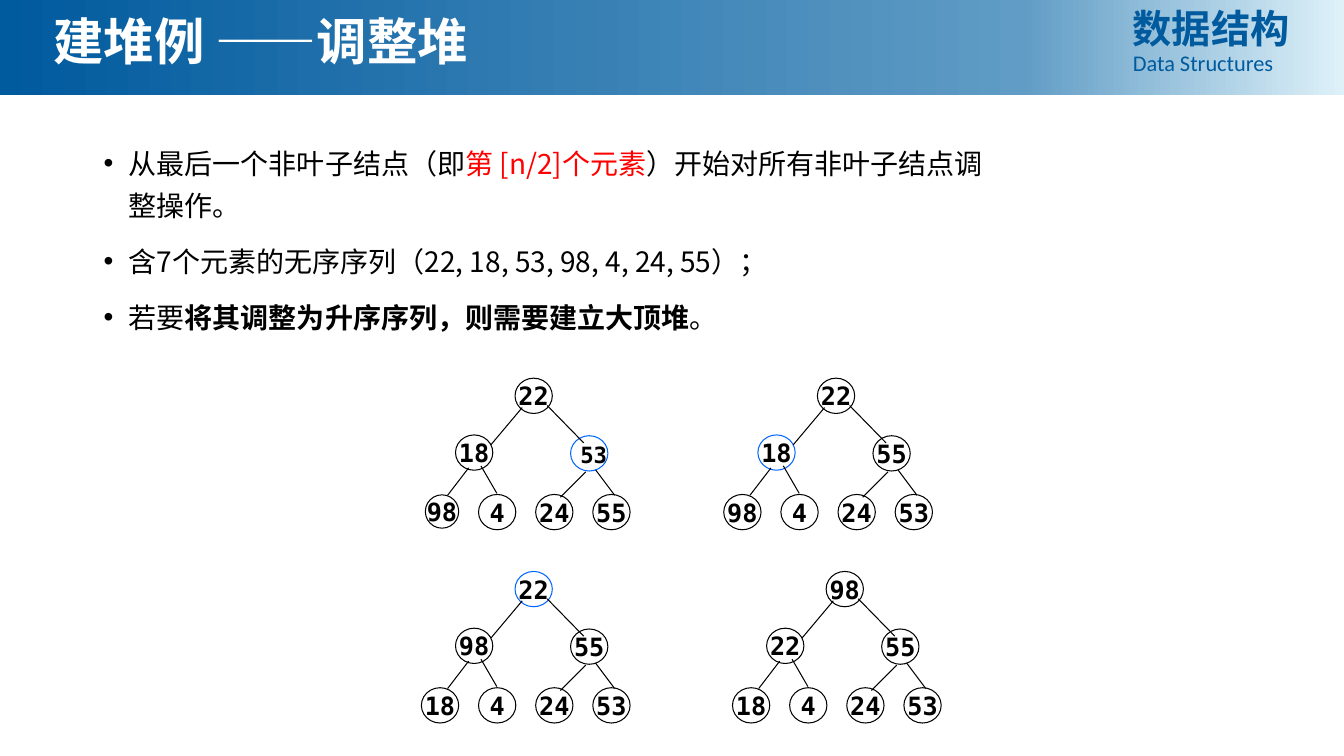
from copy import deepcopy

from lxml import etree
from pptx import Presentation
from pptx.dml.color import RGBColor
from pptx.enum.shapes import MSO_CONNECTOR, MSO_SHAPE
from pptx.enum.text import MSO_ANCHOR, MSO_AUTO_SIZE, PP_ALIGN
from pptx.oxml.ns import qn
from pptx.util import Cm, Pt

ELLIPSE, RECTANGLE = MSO_SHAPE.OVAL, MSO_SHAPE.RECTANGLE
STRAIGHT = MSO_CONNECTOR.STRAIGHT
TOP, MIDDLE = MSO_ANCHOR.TOP, MSO_ANCHOR.MIDDLE
LEFT, CENTER, JUSTIFY = PP_ALIGN.LEFT, PP_ALIGN.CENTER, PP_ALIGN.JUSTIFY

SANS, LATIN, MONO = "Noto Sans CJK SC", "Calibri", "DejaVu Sans Mono"
BLACK, WHITE, RED = "000000", "FFFFFF", "FF0000"
NAVY, HIGHLIGHT = "005A9E", "0066FF"
BAND_STOPS = [(0, NAVY), (0.76, "609CC5"), (1, "DEF1F9")]

TITLE = "建堆例 ——调整堆"
COURSE = [
    ("数据结构", {"size": 28, "bold": True, "font": SANS}),
    ("Data Structures", {"size": 16, "font": LATIN}),
]
BULLETS = [
    [("从最后一个非叶子结点（即", {}),
     ("第 [n/2]个元素", {"color": RED}),
     ("）开始对所有非叶子结点调整操作。", {})],
    [("含7个元素的无序序列（22, 18, 53, 98, 4, 24, 55）；", {})],
    [("若要", {}),
     ("将其调整为升序序列，则需要建立大顶堆", {"bold": True}),
     ("。", {})],
]

# Each heap: left, top, values in level order, index of the highlighted node
HEAPS = [
    (12.98, 9.53, ["22", "18", "", "98", "4", "24", "55"], 2),
    (20.6, 9.53, ["22", "18", "55", "98", "4", "24", "53"], 1),
    (12.98, 14.4, ["22", "98", "55", "18", "4", "24", "53"], 0),
    (20.82, 14.4, ["98", "22", "55", "18", "4", "24", "53"], None),
]
LEAF_LEFT, LEAF_STEP, LEAF_TOP = -2.36, 1.44, 2.93
NODE_OFFSETS = [(0, 0), (-1.5, 1.43), (1.4, 1.45)] + [
    (LEAF_LEFT + LEAF_STEP * leaf, LEAF_TOP) for leaf in range(4)
]
NODE_WIDTH, NODE_HEIGHT = 0.94, 0.89
EDGES = [
    (0.18, 0.74, -0.61, 1.68),
    (0.81, 0.69, 1.73, 1.63),
    (-1.17, 2.26, -1.7, 2.95),
    (-0.86, 2.21, -0.46, 2.9),
    (1.78, 2.36, 1.14, 3),
    (2.03, 2.31, 2.51, 2.95),
]


def rgb(value):
    return RGBColor.from_string(value)


def write(paragraph, text, size=20, font=SANS, color=BLACK, bold=False):
    run = paragraph.add_run()
    run.text = text
    run.font.size = Pt(size)
    run.font.name = font
    run.font.bold = bold
    run.font.color.rgb = rgb(color)
    east_asian = etree.SubElement(run.font._element, qn("a:ea"))
    east_asian.set("typeface", font)


def place(shape, left, top, width, height):
    shape.left, shape.top = Cm(left), Cm(top)
    shape.width, shape.height = Cm(width), Cm(height)


def set_frame(shape, anchor=TOP, wrap=True, margin=None):
    frame = shape.text_frame
    frame.auto_size = MSO_AUTO_SIZE.NONE
    frame.word_wrap = wrap
    frame.vertical_anchor = anchor
    if margin is not None:
        frame.margin_left = frame.margin_right = Cm(margin)
        frame.margin_top = frame.margin_bottom = Cm(margin)
    return frame


def add_bullet(paragraph):
    properties = paragraph._p.get_or_add_pPr()
    properties.set("marL", str(Cm(0.63)))
    properties.set("indent", str(-Cm(0.63)))
    etree.SubElement(properties, qn("a:buFont")).set("typeface", "Arial")
    etree.SubElement(properties, qn("a:buChar")).set("char", "•")


def add_header(slide):
    title = slide.shapes.title
    place(title, 1.09, 0.3, 22.33, 1.8)
    paragraph = set_frame(title).paragraphs[0]
    paragraph.alignment = LEFT
    paragraph.line_spacing = 0.9
    write(paragraph, TITLE, size=36, color=WHITE, bold=True)

    band = slide.shapes.add_shape(RECTANGLE, 0, 0, Cm(33.87), Cm(2.39))
    band.shadow.inherit = False
    band.line.fill.background()
    band.fill.gradient()
    band.fill.gradient_angle = 0
    stop_list = band.element.find(".//" + qn("a:gsLst"))
    stop_list.insert(1, deepcopy(stop_list[0]))
    for stop, (position, color) in zip(band.fill.gradient_stops, BAND_STOPS):
        stop.position = position
        stop.color.rgb = rgb(color)
    title.element.addprevious(band.element)

    course = slide.shapes.add_textbox(Cm(28.3), Cm(0.13), Cm(4.85), Cm(2.13))
    frame = set_frame(course)
    for index, (text, style) in enumerate(COURSE):
        paragraph = frame.add_paragraph() if index else frame.paragraphs[0]
        paragraph.alignment = JUSTIFY
        paragraph.line_spacing = 0.9
        write(paragraph, text, color=NAVY, **style)


def add_body(slide):
    body = slide.placeholders[1]
    place(body, 2.36, 3.35, 22.86, 5.72)
    frame = set_frame(body)
    for index, runs in enumerate(BULLETS):
        paragraph = frame.add_paragraph() if index else frame.paragraphs[0]
        add_bullet(paragraph)
        paragraph.line_spacing = 1.25
        paragraph.space_before = Pt(10 if index else 0)
        for text, style in runs:
            write(paragraph, text, **style)


def add_heap(slide, left, top, values, highlighted):
    group = slide.shapes.add_group_shape()
    for index, (value, (x, y)) in enumerate(zip(values, NODE_OFFSETS)):
        node = group.shapes.add_shape(
            ELLIPSE, Cm(left + x), Cm(top + y), Cm(NODE_WIDTH), Cm(NODE_HEIGHT))
        node.shadow.inherit = False
        node.fill.background()
        node.line.color.rgb = rgb(HIGHLIGHT if index == highlighted else BLACK)
        node.line.width = Pt(0.75)
        if value:
            frame = set_frame(node, anchor=MIDDLE, wrap=False, margin=0)
            frame.paragraphs[0].alignment = CENTER
            write(frame.paragraphs[0], value, size=18, font=MONO, bold=True)
    for x1, y1, x2, y2 in EDGES:
        edge = group.shapes.add_connector(
            STRAIGHT, Cm(left + x1), Cm(top + y1), Cm(left + x2), Cm(top + y2))
        edge.line.color.rgb = rgb(BLACK)
        edge.line.width = Pt(0.75)
        etree.SubElement(edge.element.spPr, qn("a:effectLst"))
    return group


def main():
    presentation = Presentation()
    presentation.slide_width, presentation.slide_height = Cm(33.87), Cm(19.05)
    slide = presentation.slides.add_slide(presentation.slide_layouts[1])
    add_header(slide)
    add_body(slide)
    groups = [add_heap(slide, *heap) for heap in HEAPS]
    place(groups[0].shapes[3], 10.72, 12.47, 0.84, 0.84)

    label = slide.shapes.add_textbox(Cm(14.33), Cm(11), Cm(1.27), Cm(0.94))
    paragraph = set_frame(label).paragraphs[0]
    paragraph.alignment = CENTER
    write(paragraph, "53", size=16, font=MONO, bold=True)
    presentation.save("out.pptx")


if __name__ == "__main__":
    main()
